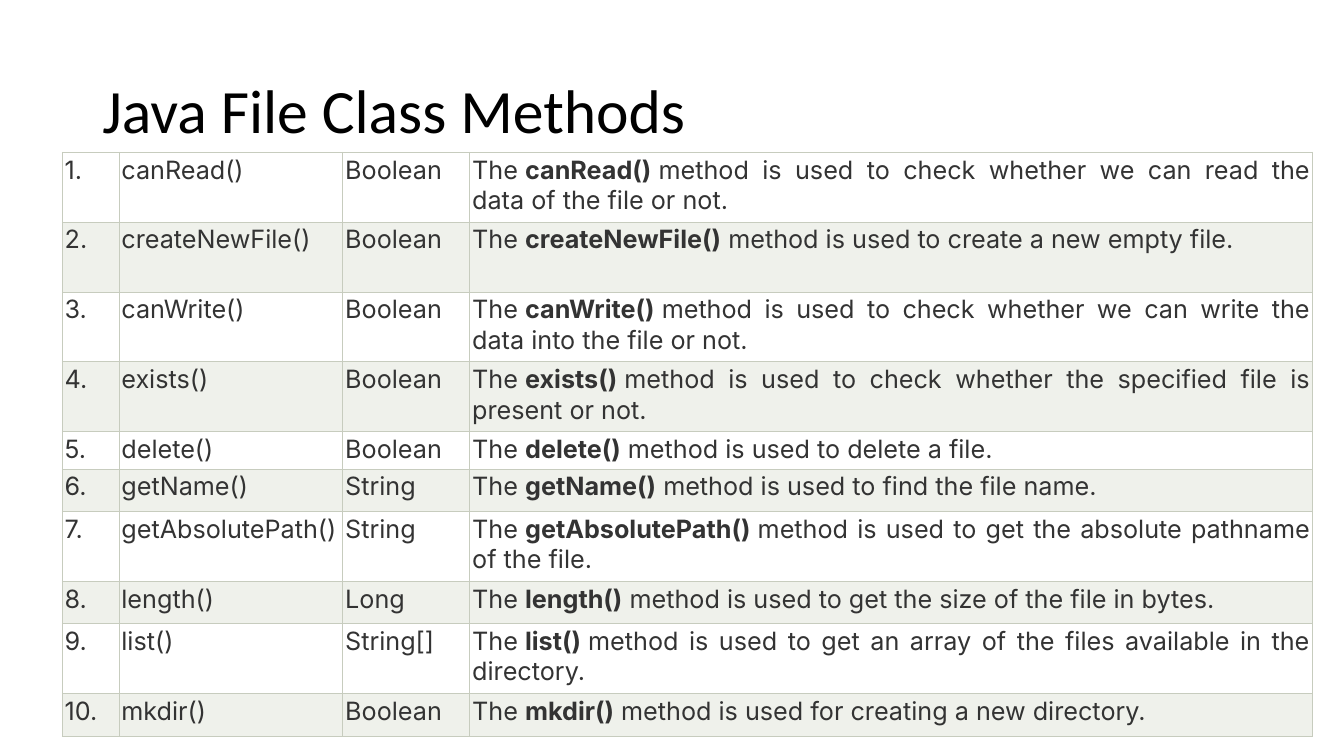
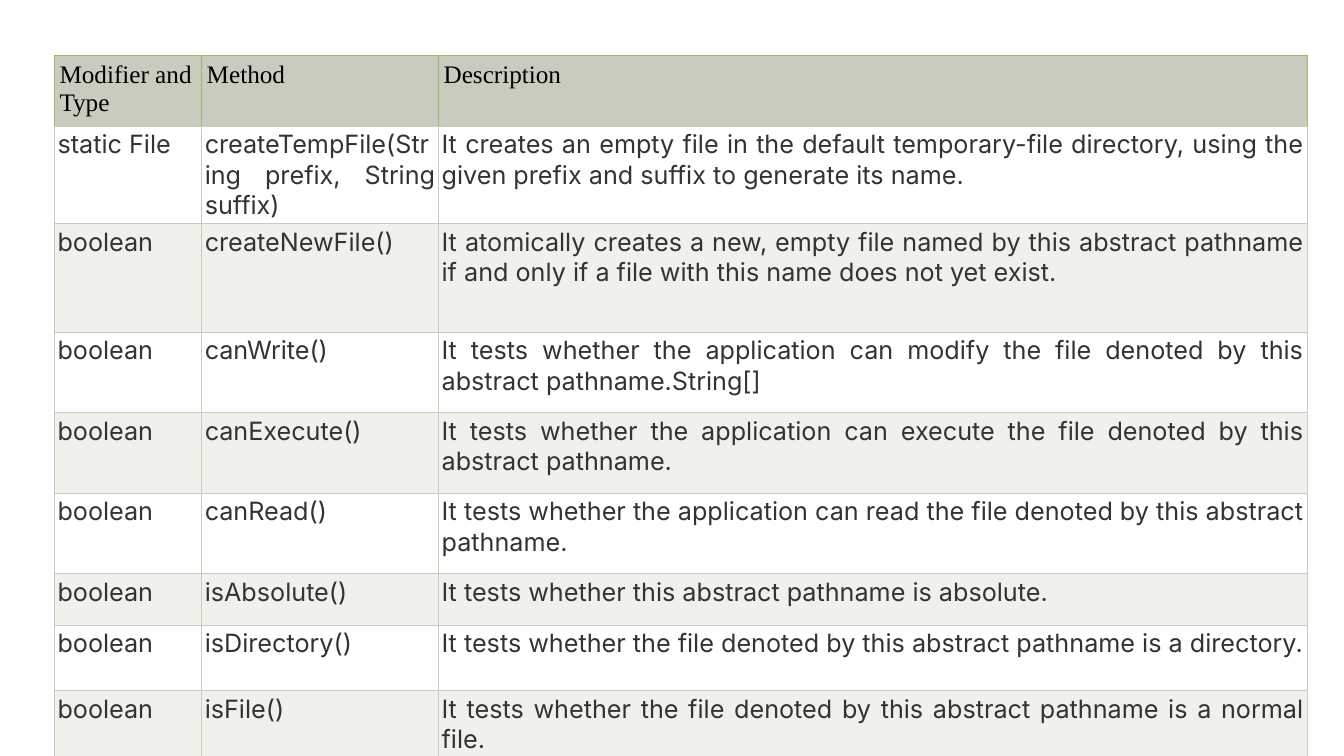
"""Build two slides of tables about the methods of the Java File class."""
from lxml.etree import SubElement
from pptx import Presentation
from pptx.dml.color import RGBColor
from pptx.enum.text import MSO_ANCHOR as Anchor, PP_ALIGN as Align
from pptx.oxml.ns import qn
from pptx.util import Cm, Pt

TITLE = "Java File Class Methods"
METHODS = [
    ("canRead()", "Boolean", "is used to check whether we can read the data of the file or not."),
    ("createNewFile()", "Boolean", "is used to create a new empty file."),
    ("canWrite()", "Boolean", "is used to check whether we can write the data into the file or not."),
    ("exists()", "Boolean", "is used to check whether the specified file is present or not."),
    ("delete()", "Boolean", "is used to delete a file."),
    ("getName()", "String", "is used to find the file name."),
    ("getAbsolutePath()", "String", "is used to get the absolute pathname of the file."),
    ("length()", "Long", "is used to get the size of the file in bytes."),
    ("list()", "String[]", "is used to get an array of the files available in the directory."),
    ("mkdir()", "Boolean", "is used for creating a new directory."),
]
METHOD_WIDTHS = [1.43, 5.64, 3.2, 21.24]
TALL, SHORT = 1.76, 1.07
METHOD_HEIGHTS = [TALL, TALL, TALL, TALL, 0.94, SHORT, TALL, SHORT, TALL, SHORT]

HEADINGS = ("Modifier and Type", "Method", "Description")
MODIFIERS = [
    ("static File", "createTempFile(String prefix, String suffix)",
     "It creates an empty file in the default temporary-file directory, "
     "using the given prefix and suffix to generate its name."),
    ("boolean", "createNewFile()",
     "It atomically creates a new, empty file named by this abstract pathname "
     "if and only if a file with this name does not yet exist."),
    ("boolean", "canWrite()",
     "It tests whether the application can modify the file denoted by this abstract pathname.String[]"),
    ("boolean", "canExecute()",
     "It tests whether the application can execute the file denoted by this abstract pathname."),
    ("boolean", "canRead()",
     "It tests whether the application can read the file denoted by this abstract pathname."),
    ("boolean", "isAbsolute()", "It tests whether this abstract pathname is absolute."),
    ("boolean", "isDirectory()",
     "It tests whether the file denoted by this abstract pathname is a directory."),
    ("boolean", "isFile()",
     "It tests whether the file denoted by this abstract pathname is a normal file."),
]
MODIFIER_WIDTHS = [3.71, 5.97, 21.89]
MODIFIER_HEIGHTS = [1.69, 2.44, 2.74, 2.03, 2.03, 2.03, 1.3, 1.65, 1.7]

BLACK, BODY_TEXT = "000000", "333333"
BANDS = ("FFFFFF", "EFF1EB")
RULE, HEADING_RULE = "C7CCBE", "A0B868"
SIDES = ("lnL", "lnR", "lnT", "lnB")


def color(code):
    return RGBColor.from_string(code)


def style(run, font, size, code, bold=False):
    run.font.name, run.font.size, run.font.bold = font, Pt(size), bold
    run.font.color.rgb = color(code)


def set_borders(cell, codes):
    properties = cell._tc.get_or_add_tcPr()
    for side, code in zip(SIDES, codes):
        line = SubElement(properties, qn(f"a:{side}"), w=str(Pt(0.75)))
        SubElement(SubElement(line, qn("a:solidFill")), qn("a:srgbClr"), val=code)


def fill_cell(cell, text, fill, borders, inset, font, text_color, align):
    """Fill one cell; text between asterisks is bold."""
    set_borders(cell, borders)
    cell.fill.solid()
    cell.fill.fore_color.rgb = color(fill)
    cell.margin_left = cell.margin_right = cell.margin_top = cell.margin_bottom = Cm(inset)
    paragraph = cell.text_frame.paragraphs[0]
    paragraph.alignment = align
    for index, part in enumerate(text.split("*")):
        run = paragraph.add_run()
        run.text = part
        style(run, font, 18, text_color, index % 2 == 1)


def add_grid(slide, left, top, widths, heights, rows, inset, headings=None):
    grid = slide.shapes.add_table(len(heights), len(widths), Cm(left), Cm(top),
                                  Cm(sum(widths)), Cm(sum(heights))).table
    grid.first_row = grid.horz_banding = False
    for column, width in zip(grid.columns, widths):
        column.width = Cm(width)
    for row, height in zip(grid.rows, heights):
        row.height = Cm(height)
    first = 0
    if headings:
        first = 1
        for column, heading in enumerate(headings):
            fill_cell(grid.cell(0, column), heading, RULE, [HEADING_RULE] * 3 + [RULE],
                      0.13, "Times New Roman", BLACK, Align.LEFT)
    for index, texts in enumerate(rows):
        for column, text in enumerate(texts):
            fill_cell(grid.cell(first + index, column), text, BANDS[index % 2], [RULE] * 4,
                      inset, "Inter", BODY_TEXT, Align.JUSTIFY)


def add_title(slide, text):
    frame = slide.shapes.add_textbox(Cm(2.33), Cm(1.01), Cm(29.21), Cm(3.68)).text_frame
    frame.word_wrap = True
    frame.vertical_anchor = Anchor.MIDDLE
    frame.text = text
    frame.paragraphs[0].line_spacing = 0.9
    style(frame.paragraphs[0].runs[0], "Calibri", 44, BLACK)


deck = Presentation()
deck.slide_width, deck.slide_height = Cm(33.87), Cm(19.05)
blank = deck.slide_layouts[6]

methods_slide = deck.slides.add_slide(blank)
add_title(methods_slide, TITLE)
method_rows = [(f"{number}.", method, result, f"The\u00a0*{method}*\u00a0method {purpose}")
               for number, (method, result, purpose) in enumerate(METHODS, 1)]
add_grid(methods_slide, 1.57, 3.84, METHOD_WIDTHS, METHOD_HEIGHTS, method_rows, 0.06)

modifiers_slide = deck.slides.add_slide(blank)
add_grid(modifiers_slide, 1.37, 1.4, MODIFIER_WIDTHS, MODIFIER_HEIGHTS, MODIFIERS, 0.08, HEADINGS)

deck.save("out.pptx")
